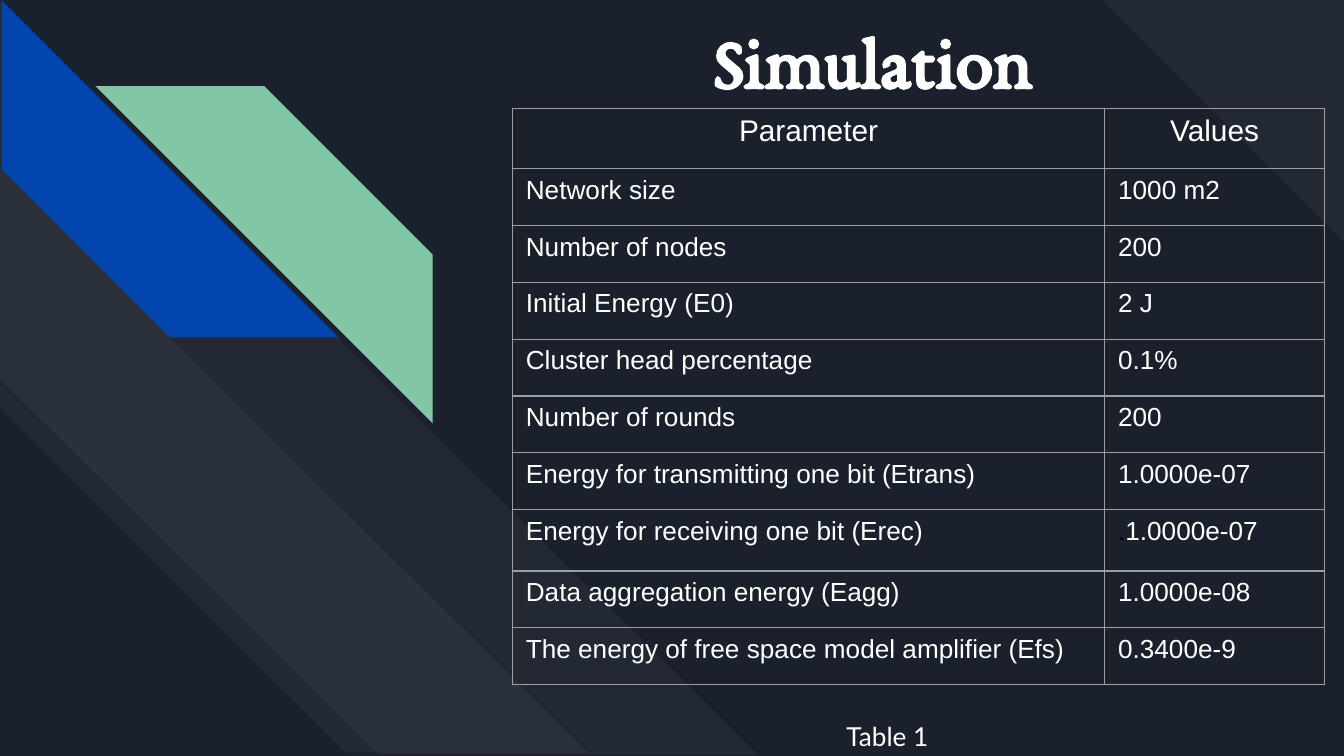
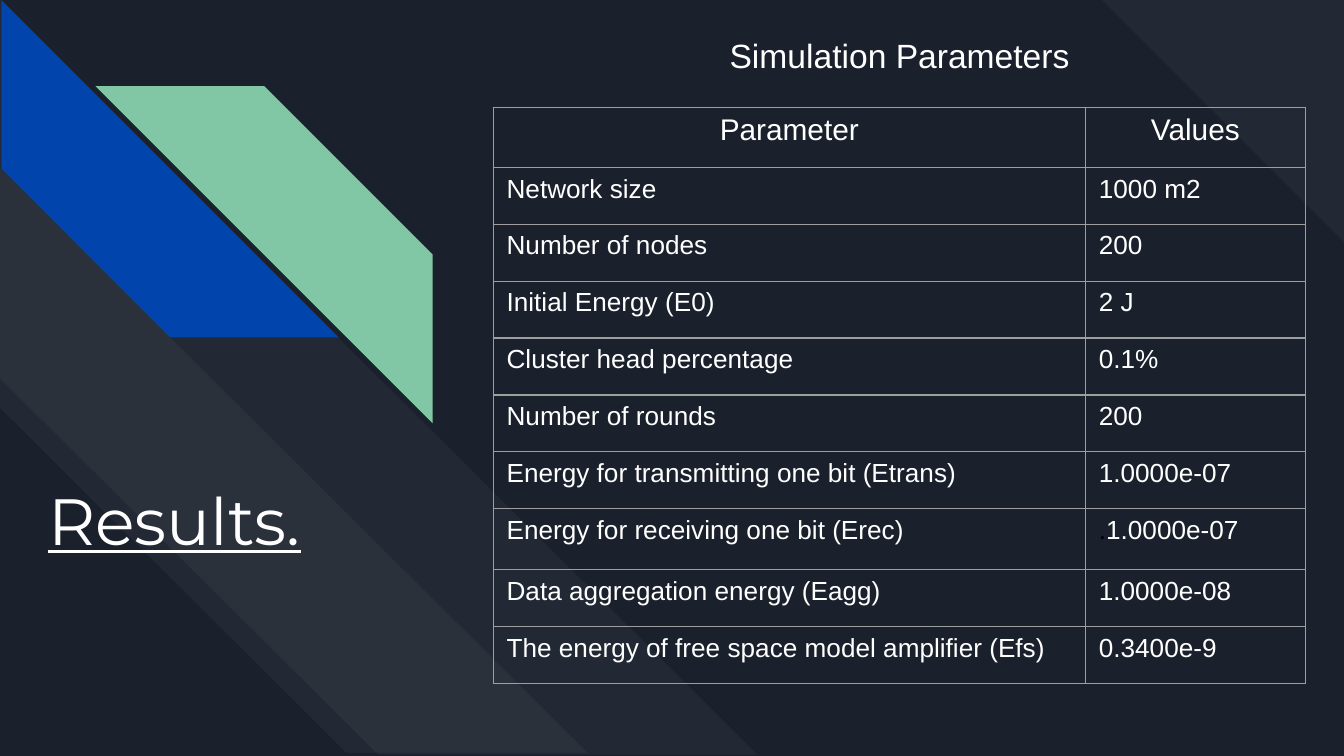
from pptx import Presentation
from pptx.dml.color import RGBColor
from pptx.enum.shapes import MSO_SHAPE as Preset
from pptx.enum.text import PP_ALIGN as Align, MSO_ANCHOR as Anchor
from pptx.oxml import parse_xml
from pptx.oxml.ns import nsdecls, qn
from pptx.util import Pt

NIGHT = RGBColor(0x1B, 0x21, 0x2C)
BLUE = RGBColor(0x01, 0x45, 0xAC)
GREEN = RGBColor(0x82, 0xC7, 0xA5)
WHITE = RGBColor(0xFF, 0xFF, 0xFF)
BLACK = RGBColor(0x00, 0x00, 0x00)
GREY = RGBColor(0x9E, 0x9E, 0x9E)

BODY = {"name": "Arial", "size": Pt(14), "bold": False}
HEAD = {**BODY, "size": Pt(16)}
SUBTITLE = {**BODY, "size": Pt(18)}
CAPTION = {"name": "Lato", "size": Pt(14)}
TITLE = {"name": "EB Garamond", "size": Pt(40), "bold": True}
RESULTS = {"name": "Montserrat", "size": Pt(35), "underline": True}

STRIPES = [
    (590.4, 0, 129.6, 129.6, 90, 0, WHITE, 4),
    (0.7, -0.7, 404, 406, 270, 0.5, WHITE, 4),
    (0.7, 89.3, 313.2, 314.6, 270, 0.59, WHITE, 4),
    (0.7, 0, 180.7, 180.7, 270, 0.5, BLUE, 100),
    (51.1, 46.1, 180.7, 180.7, 90, 0.5, GREEN, 100),
]

PARAMETERS = [
    ("Parameter", "Values"),
    ("Network size", "1000 m2"),
    ("Number of nodes", "200"),
    ("Initial Energy (E0)", "2 J"),
    ("Cluster head percentage", "0.1%"),
    ("Number of rounds", "200"),
    ("Energy for transmitting one bit (Etrans)", "1.0000e-07"),
    ("Energy for receiving one bit (Erec)", ".1.0000e-07"),
    ("Data aggregation energy (Eagg)", "1.0000e-08"),
    ("The energy of free space model amplifier (Efs)", "0.3400e-9"),
]
COLUMN_WIDTHS = (317.3, 117.8)
ROW_HEIGHTS = [32.4] + [30.45] * 6 + [32.8] + [30.45] * 2


class Painter:
    """Holds the deck style and draws elements on the current page."""

    def __init__(self):
        self.deck = Presentation()
        self.deck.slide_width, self.deck.slide_height = Pt(720), Pt(405)
        self.page = None

    def new_page(self):
        self.page = self.deck.slides.add_slide(self.deck.slide_layouts[6])
        fill = self.page.background.fill
        fill.solid()
        fill.fore_color.rgb = NIGHT
        for stripe in STRIPES:
            self.stripe(*stripe)

    def stripe(self, left, top, width, height, rotation, cut, color, opacity):
        shape = self.page.shapes.add_shape(
            Preset.DIAGONAL_STRIPE, Pt(left), Pt(top), Pt(width), Pt(height))
        shape.rotation = rotation
        shape.adjustments[0] = cut
        shape.shadow.inherit = False
        shape.line.fill.background()
        shape.fill.solid()
        shape.fill.fore_color.rgb = color
        if opacity < 100:
            alpha = parse_xml(f'<a:alpha {nsdecls("a")} val="{opacity * 1000}"/>')
            shape.element.find(".//" + qn("a:srgbClr")).append(alpha)

    def span(self, para, text, style, color=WHITE):
        span = para.add_run()
        span.text = text
        for name, value in style.items():
            setattr(span.font, name, value)
        span.font.color.rgb = color

    def text(self, left, top, width, height, text, style, align=Align.LEFT):
        box = self.page.shapes.add_textbox(Pt(left), Pt(top), Pt(width), Pt(height))
        frame = box.text_frame
        frame.word_wrap = True
        frame.vertical_anchor = Anchor.TOP
        for side in ("left", "top", "right", "bottom"):
            setattr(frame, f"margin_{side}", Pt(7.2))
        para = frame.paragraphs[0]
        para.alignment = align
        self.span(para, text, style)

    def cell(self, cell, text, is_head):
        cell.fill.background()
        para = cell.text_frame.paragraphs[0]
        para.alignment = Align.CENTER if is_head else Align.LEFT
        if text.startswith("."):
            self.span(para, ".", BODY, BLACK)
            text = text[1:]
        self.span(para, text, HEAD if is_head else BODY)
        for index, side in enumerate("LRTB"):
            border = parse_xml(
                f'<a:ln{side} {nsdecls("a")} w="{Pt(0.75)}"><a:solidFill>'
                f'<a:srgbClr val="{GREY}"/></a:solidFill></a:ln{side}>')
            cell._tc.get_or_add_tcPr().insert(index, border)

    def table(self, left, top):
        table = self.page.shapes.add_table(
            len(PARAMETERS), len(COLUMN_WIDTHS), Pt(left), Pt(top),
            Pt(sum(COLUMN_WIDTHS)), Pt(sum(ROW_HEIGHTS))).table
        table.first_row = table.horz_banding = False
        for column, width in zip(table.columns, COLUMN_WIDTHS):
            column.width = Pt(width)
        for index, (row, height) in enumerate(zip(table.rows, ROW_HEIGHTS)):
            row.height = Pt(height)
            for cell, text in zip(row.cells, PARAMETERS[index]):
                self.cell(cell, text, index == 0)


def main():
    painter = Painter()

    painter.new_page()
    painter.text(274.3, 0, 395.3, 52.6, "Simulation ", TITLE, Align.CENTER)
    painter.table(274.5, 58)
    painter.text(446.4, 378.7, 120.2, 17.3, "Table 1", CAPTION)

    painter.new_page()
    painter.table(264.2, 57.4)
    painter.text(18.7, 249.8, 195.8, 56.2, "Results.", RESULTS)
    painter.text(383.8, 11.5, 340.6, 30.2, "Simulation Parameters", SUBTITLE)

    painter.deck.save("out.pptx")


if __name__ == "__main__":
    main()
